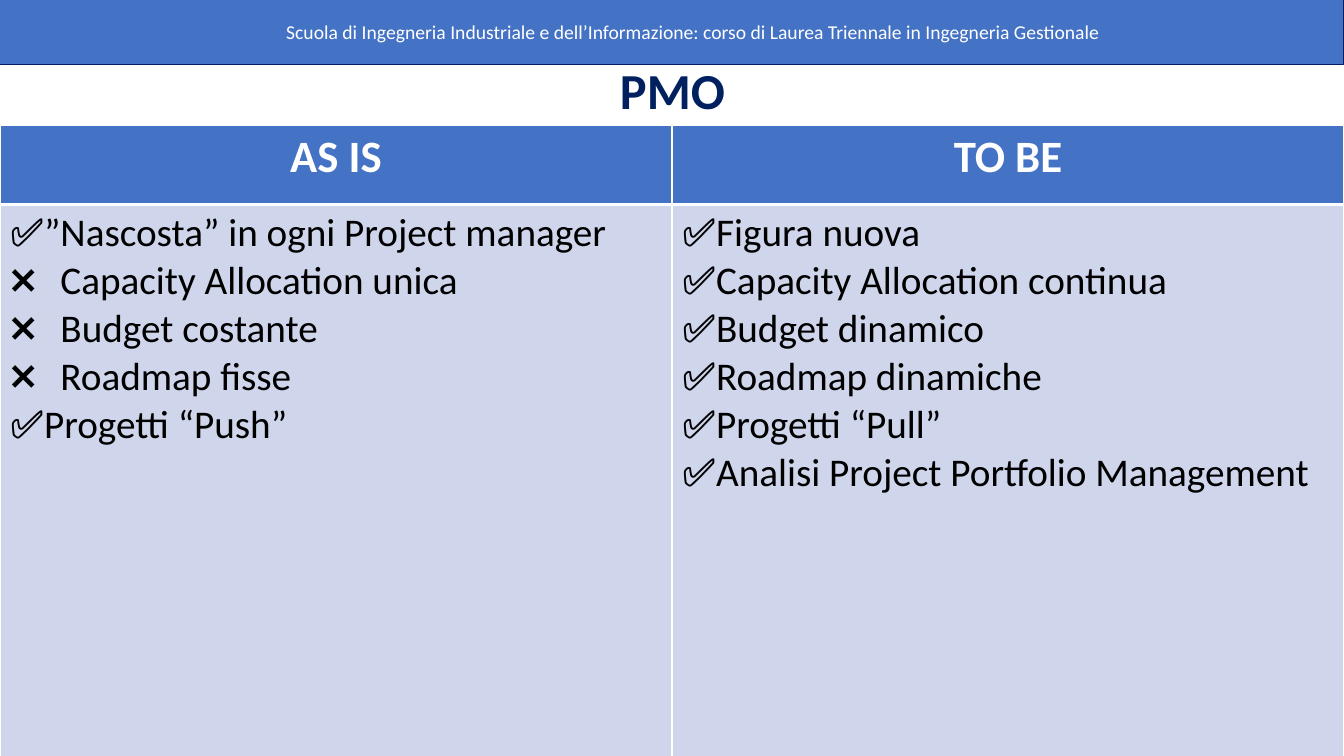
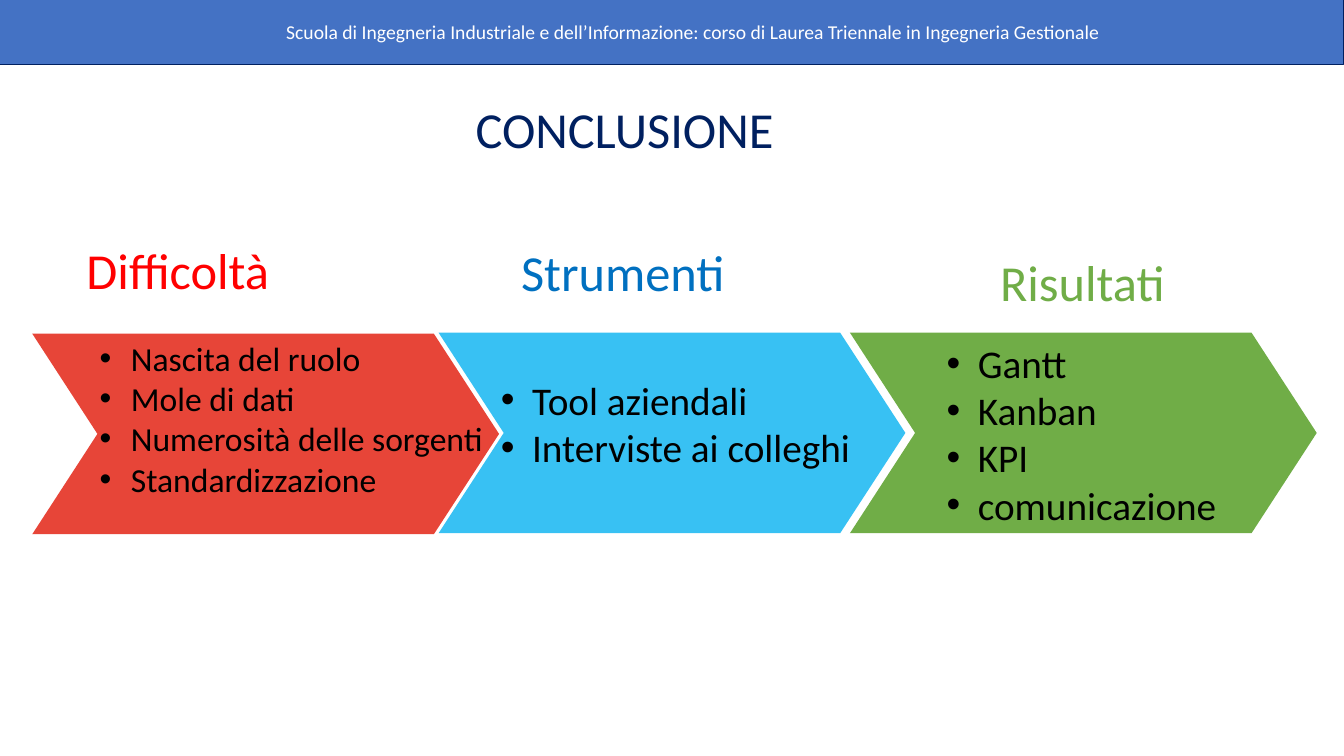
from lxml import etree
from pptx import Presentation
from pptx import util as u
from pptx.dml.color import RGBColor
from pptx.enum import shapes, text
from pptx.oxml.ns import qn

COLORS = {
    "band": "4472C4", "navy": "002060", "white": "FFFFFF", "black": "000000",
    "cell": "CFD5EA", "red": "FF0000", "blue": "0070C0", "green": "70AD47",
    "red_fill": "E11100", "blue_fill": "00B0F0",
}
FONT = "Calibri"
SLIDE_WIDTH, SLIDE_HEIGHT = 13.33, 7.5
BAND_HEIGHT = 0.64
SCHOOL = ("Scuola di Ingegneria Industriale e dell’Informazione: "
          "corso di Laurea Triennale in Ingegneria Gestionale")
CHECK, CROSS, DOT = "✅", "❌", "•"
INDENTS = {CHECK: 0.31, CROSS: 0.5, DOT: 0.31}
BULLET_FONTS = {CHECK: FONT, CROSS: FONT, DOT: "Arial"}
LEFT, CENTER = text.PP_ALIGN.LEFT, text.PP_ALIGN.CENTER


def color(name):
    return RGBColor.from_string(COLORS[name])


def inches(box):
    return [u.Inches(length) for length in box]


def paint(shape, fill, opacity=100):
    shape.shadow.inherit = False
    shape.fill.solid()
    shape.fill.fore_color.rgb = color(fill)
    shape.line.fill.background()
    if opacity < 100:
        tint = shape.fill._xPr.find(qn("a:solidFill"))[0]
        etree.SubElement(tint, qn("a:alpha"), val=str(opacity * 1000))


def add_bullet(para, mark):
    indent = u.Inches(INDENTS[mark])
    props = para._p.get_or_add_pPr()
    props.set("marL", str(indent))
    props.set("indent", str(-indent))
    etree.SubElement(props, qn("a:buFont"), typeface=BULLET_FONTS[mark])
    etree.SubElement(props, qn("a:buChar"), char=mark)


def write(frame, items, size, ink, align=LEFT, bold=False):
    """Write (mark, words) items, one per paragraph; mark is a bullet or None."""
    frame.text = "\n".join(words for _, words in items)
    for para, (mark, _) in zip(frame.paragraphs, items):
        para.alignment = align
        if mark:
            add_bullet(para, mark)
        font = para.runs[0].font
        font.name, font.size, font.bold = FONT, u.Pt(size), bold
        font.color.rgb = color(ink)


def add_text(page, box, items, size, ink, **style):
    if isinstance(items, str):
        items = [(None, items)]
    frame = page.shapes.add_textbox(*inches(box)).text_frame
    frame.word_wrap = True
    write(frame, items, size, ink, **style)


def add_page(deck, title, title_box, bold=False):
    """Add a slide with the school band and a centred title."""
    page = deck.slides.add_slide(deck.slide_layouts[6])
    band = page.shapes.add_shape(shapes.MSO_SHAPE.RECTANGLE,
                                 *inches((0, 0, SLIDE_WIDTH, BAND_HEIGHT)))
    paint(band, "band")
    band.line.color.rgb = color("navy")
    band.line.width = u.Pt(0.75)
    add_text(page, (2.74, 0.15, 8.57, 0.34), SCHOOL, 14, "white")
    add_text(page, title_box, title, 36, "navy", align=CENTER, bold=bold)
    return page


def style_cell(cell, fill, borders):
    """Fill the cell and draw white borders, given as {side: points}."""
    props = cell._tc.get_or_add_tcPr()
    for side, points in borders.items():
        line = etree.SubElement(props, qn(f"a:ln{side}"), w=str(u.Pt(points)))
        solid = etree.SubElement(line, qn("a:solidFill"))
        etree.SubElement(solid, qn("a:srgbClr"), val=COLORS["white"])
    cell.fill.solid()
    cell.fill.fore_color.rgb = color(fill)


def add_comparison(page, box, header_height, columns):
    table = page.shapes.add_table(2, len(columns), *inches(box)).table
    table.horz_banding = False
    table.rows[0].height = u.Inches(header_height)
    table.rows[1].height = u.Inches(box[3] - header_height)
    for index, (heading, items) in enumerate(columns):
        head, body = table.cell(0, index), table.cell(1, index)
        style_cell(head, "band", {"L": 1, "R": 1, "T": 1, "B": 3})
        style_cell(body, "cell", {"L": 1, "R": 1, "B": 1})
        write(head.text_frame, [(None, heading)], 32, "white", CENTER, True)
        write(body.text_frame, items, 28, "black")


def add_stage(page, box, fill, opacity, heading, ink, heading_box, items, size, list_box):
    """Add a chevron; heading_box and list_box are offset from its corner."""
    def inside(part):
        return (box[0] + part[0], box[1] + part[1], *part[2:])

    chevron = page.shapes.add_shape(shapes.MSO_SHAPE.CHEVRON, *inches(box))
    chevron.adjustments[0] = 0.325
    paint(chevron, fill, opacity)
    add_text(page, inside(heading_box), heading, 36, ink)
    add_text(page, inside(list_box), [(DOT, item) for item in items], size, "black")


def build_pmo(deck):
    page = add_page(deck, "PMO", (4.37, 0.54, 4.6, 0.71), bold=True)
    as_is = [(CHECK, "”Nascosta” in ogni Project manager"),
             (CROSS, "Capacity Allocation unica"),
             (CROSS, "Budget costante"),
             (CROSS, "Roadmap fisse"),
             (CHECK, "Progetti “Push”")]
    to_be = [(CHECK, words) for words in (
        "Figura nuova", "Capacity Allocation continua", "Budget dinamico",
        "Roadmap dinamiche", "Progetti “Pull”",
        "Analisi Project Portfolio Management")]
    add_comparison(page, (0, 1.24, SLIDE_WIDTH, 6.32), 0.79,
                   [("AS IS", as_is), ("TO BE", to_be)])


def build_conclusion(deck):
    page = add_page(deck, "CONCLUSIONE", (4.6, 0.92, 3.19, 0.71))
    width, height = 4.63, 1.99
    add_stage(page, (8.43, 3.3, width, height), "green", 100,
              "Risultati", "green", (1.39, -0.86, 1.85, 0.71),
              ["Gantt", "Kanban", "KPI", "comunicazione"], 28,
              (0.86, 0.02, 2.91, 1.99))
    add_stage(page, (4.35, 3.3, width, height), "blue_fill", 78,
              "Strumenti", "blue", (0.72, -0.96, 2.24, 0.71),
              ["Tool aziendali", "Interviste ai colleghi"], 28,
              (0.52, 0.38, 3.7, 1.35))
    add_stage(page, (0.32, 3.31, width, height), "red_fill", 78,
              "Difficoltà", "red", (0.44, -0.99, 2.27, 0.71),
              ["Nascita del ruolo", "Mole di dati",
               "Numerosità delle sorgenti", "Standardizzazione"], 24,
              (0.57, -0.01, 4.04, 1.72))


def main():
    deck = Presentation()
    deck.slide_width = u.Inches(SLIDE_WIDTH)
    deck.slide_height = u.Inches(SLIDE_HEIGHT)
    build_pmo(deck)
    build_conclusion(deck)
    deck.save("out.pptx")


if __name__ == "__main__":
    main()
